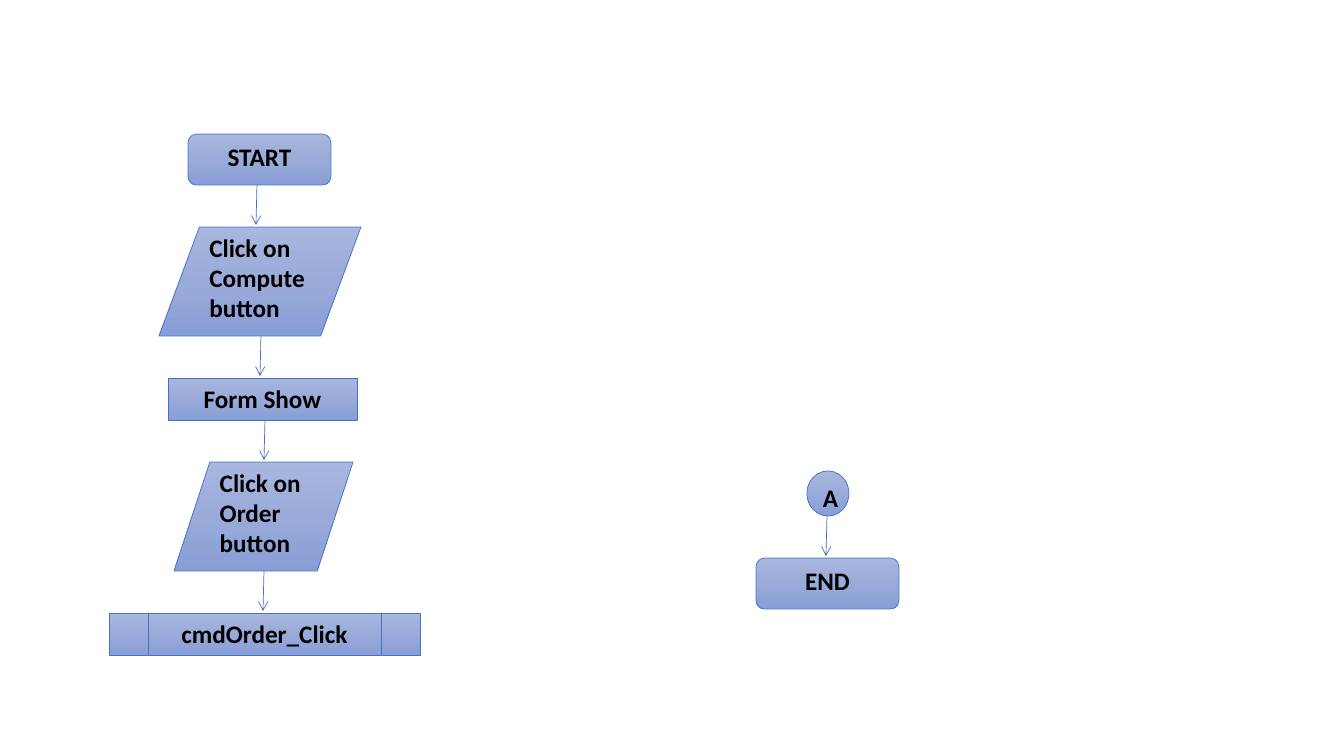
import copy
import dataclasses

import pptx
import pptx.dml.color
import pptx.enum.shapes
import pptx.enum.text
import pptx.oxml
import pptx.oxml.ns
import pptx.util

KIND = pptx.enum.shapes.MSO_SHAPE
ALIGN = pptx.enum.text.PP_ALIGN
SCALE = 914400 / 100.8
GAP = 42
ARROW_LENGTH = 40


@dataclasses.dataclass(frozen=True)
class Theme:
    font: str = "Calibri"
    size: int = 18
    text: str = "000000"
    line: str = "4472C4"
    line_width: float = 0.5
    gradient: tuple = ((0, "A8B7DF"), (0.5, "9AABD9"), (1, "889ED7"))


THEME = Theme()


def px(value):
    return pptx.util.Emu(round(value * SCALE))


def color(value):
    return pptx.dml.color.RGBColor.from_string(value)


def write(shape, text, align=ALIGN.LEFT, size=THEME.size, bold=True):
    frame = shape.text_frame
    frame.word_wrap = True
    frame.vertical_anchor = pptx.enum.text.MSO_ANCHOR.TOP
    para = frame.paragraphs[0]
    para.alignment = align
    span = para.add_run()
    span.text = text
    span.font.name = THEME.font
    span.font.size = pptx.util.Pt(size)
    span.font.bold = bold
    span.font.color.rgb = color(THEME.text)


def outline(item):
    item.line.color.rgb = color(THEME.line)
    item.line.width = pptx.util.Pt(THEME.line_width)


def shade(shape):
    shape.fill.gradient()
    shape.fill.gradient_angle = 270
    stops = shape.element.spPr.find(".//" + pptx.oxml.ns.qn("a:gsLst"))
    stops.insert(1, copy.deepcopy(stops[0]))
    for stop, (position, value) in zip(shape.fill.gradient_stops, THEME.gradient):
        stop.position = position
        stop.color.rgb = color(value)


def add_step(page, kind, box, text, align):
    shape = page.shapes.add_shape(kind, *map(px, box))
    shape.shadow.inherit = False
    shade(shape)
    outline(shape)
    write(shape, text, align=align)


def add_arrow(page, x, top):
    arrow = page.shapes.add_connector(
        pptx.enum.shapes.MSO_CONNECTOR.STRAIGHT,
        px(x), px(top), px(x - 1), px(top + ARROW_LENGTH))
    outline(arrow)
    head = pptx.oxml.parse_xml(
        f'<a:tailEnd {pptx.oxml.ns.nsdecls("a")} type="arrow"/>')
    arrow.line._get_or_add_ln().append(head)
    effects = pptx.oxml.parse_xml(f'<a:effectLst {pptx.oxml.ns.nsdecls("a")}/>')
    arrow.element.spPr.append(effects)


def add_flow(page, left, top, steps):
    for kind, text, align, offset, width, height, arrow_offset in steps:
        add_step(page, kind, (left + offset, top, width, height), text, align)
        top += height
        if arrow_offset is not None:
            add_arrow(page, left + arrow_offset, top)
        top += GAP


ORDER_STEPS = [
    (KIND.FLOWCHART_ALTERNATE_PROCESS, "START", ALIGN.CENTER, 79, 143, 51, 148),
    (KIND.FLOWCHART_DATA, "Click on Compute button", ALIGN.LEFT, 50, 202, 109, 152),
    (KIND.FLOWCHART_PROCESS, "Form Show", ALIGN.CENTER, 59, 189, 42, 156),
    (KIND.FLOWCHART_DATA, "Click on Order button", ALIGN.LEFT, 65, 179, 109, 155),
    (KIND.FLOWCHART_PREDEFINED_PROCESS, "cmdOrder_Click", ALIGN.CENTER, 0, 311, 42, None),
]
END_STEPS = [
    (KIND.FLOWCHART_CONNECTOR, "A", ALIGN.LEFT, 51, 42, 45, 71),
    (KIND.FLOWCHART_ALTERNATE_PROCESS, "END", ALIGN.CENTER, 0, 143, 51, None),
]

deck = pptx.Presentation()
deck.slide_width = px(1344)
deck.slide_height = px(756)
page = deck.slides.add_slide(deck.slide_layouts[6])
add_flow(page, 109, 134, ORDER_STEPS)
add_flow(page, 756, 471, END_STEPS)
deck.save("out.pptx")
